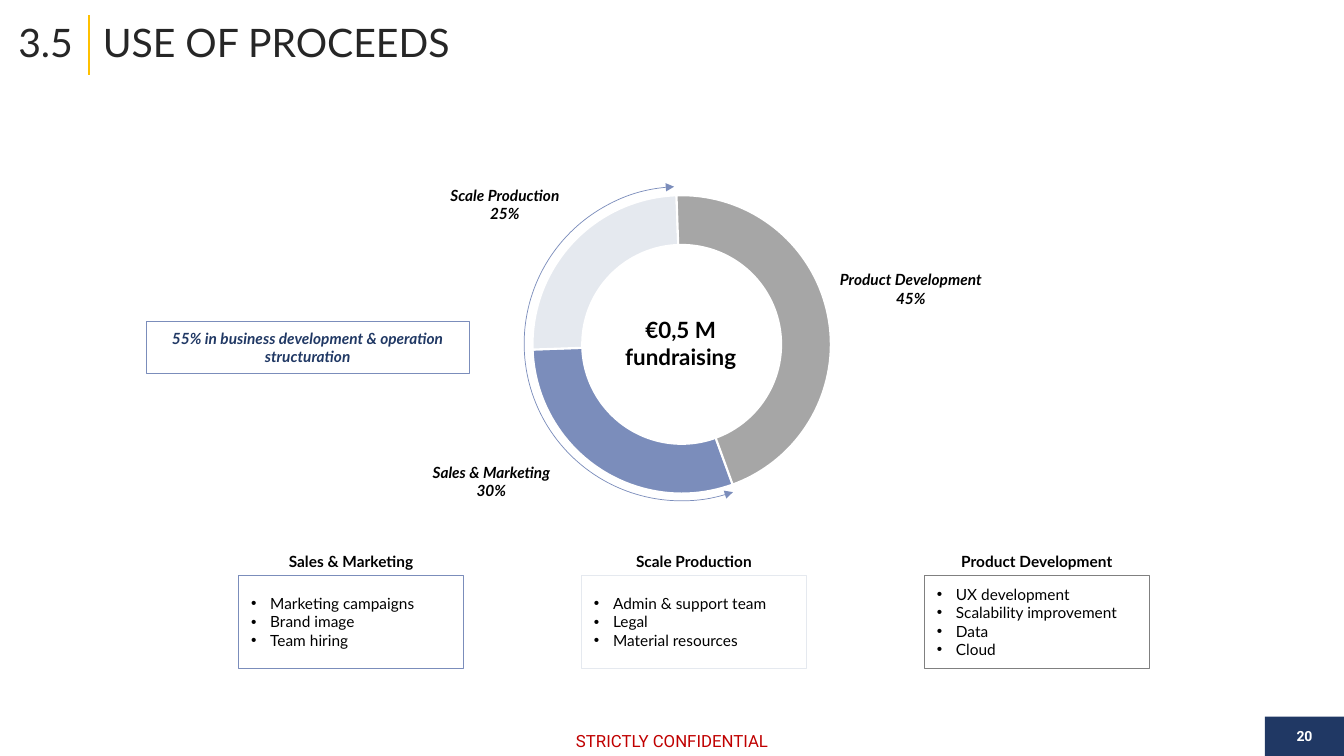
import pptx
import pptx.chart.data
import pptx.dml.color
import pptx.enum.chart
import pptx.enum.shapes
import pptx.enum.text
import pptx.oxml.ns
import pptx.util
from lxml import etree

Cm = pptx.util.Cm
Pt = pptx.util.Pt
RGBColor = pptx.dml.color.RGBColor
Align = pptx.enum.text.PP_ALIGN
ShapeType = pptx.enum.shapes.MSO_SHAPE
qn = pptx.oxml.ns.qn

NAVY = RGBColor(0x20, 0x38, 0x64)
BLUE = RGBColor(0x7B, 0x8D, 0xBB)
PALE = RGBColor(0xE5, 0xE9, 0xEF)
GREY = RGBColor(0xA6, 0xA6, 0xA6)
DARK_GREY = RGBColor(0x80, 0x80, 0x80)
GOLD = RGBColor(0xFF, 0xC0, 0x00)
RED = RGBColor(0xC0, 0x00, 0x00)
INK = RGBColor(0x26, 0x26, 0x26)
BLACK = RGBColor(0, 0, 0)
WHITE = RGBColor(0xFF, 0xFF, 0xFF)

TITLE = "USE OF PROCEEDS"
SECTION = "3.5"
PAGE = "20"
FOOTER = "STRICTLY CONFIDENTIAL"
CALLOUT = "55% in business development & operation structuration"
CENTRE = ["€0,5 M", "fundraising"]
SHARES = [
    ("Sales & Marketing", 30, BLUE, (10.57, 11.79, 3.63, 0.69)),
    ("Scale Production", 25, PALE, (10.77, 4.8, 3.91, 0.69)),
    ("Product Development", 45, GREY, (20.73, 6.93, 4.45, 0.69)),
]
CARDS = [
    ("Sales & Marketing", BLUE, ["Marketing campaigns", "Brand image", "Team hiring"]),
    ("Scale Production", PALE, ["Admin & support team", "Legal", "Material resources"]),
    ("Product Development", DARK_GREY,
     ["UX development", "Scalability improvement", "Data", "Cloud"]),
]
CARD_LEFT, CARD_STEP, CARD_TOP, CARD_WIDTH, CARD_HEIGHT = 6.02, 8.64, 14.5, 5.66, 2.34
HEADING_INSET, HEADING_TOP, HEADING_HEIGHT = 0.14, 13.79, 0.69
CHART_BOX = (9.8, 4.55, 14.76, 8.26)
RING_SIZE = 7.52


def box(values):
    return [Cm(value) for value in values]


def add_bullet(paragraph):
    properties = paragraph._p.get_or_add_pPr()
    properties.set("marL", str(Cm(0.79)))
    properties.set("indent", str(Cm(-0.48)))
    etree.SubElement(properties, qn("a:buFont")).set("typeface", "Arial")
    etree.SubElement(properties, qn("a:buChar")).set("char", "•")


def write(shape, lines, size=11, color=BLACK, font="Lato", bold=False, italic=False,
          align=Align.CENTER, inset=0, bullets=False, spacing=None):
    frame = shape.text_frame
    frame.word_wrap = True
    frame.auto_size = pptx.enum.text.MSO_AUTO_SIZE.NONE
    frame.vertical_anchor = pptx.enum.text.MSO_ANCHOR.MIDDLE
    frame.margin_left = frame.margin_right = Cm(inset)
    frame.margin_top = frame.margin_bottom = Cm(inset / 2)
    for index, line in enumerate(lines):
        paragraph = frame.add_paragraph() if index else frame.paragraphs[0]
        paragraph.alignment = align
        paragraph.space_before = Pt(0)
        if spacing:
            paragraph.line_spacing = spacing
        if bullets:
            add_bullet(paragraph)
        run = paragraph.add_run()
        run.text = line
        run.font.size = Pt(size)
        run.font.name = font
        run.font.bold = bold
        run.font.italic = italic
        run.font.color.rgb = color


def add_text(slide, position, lines, **style):
    write(slide.shapes.add_textbox(*box(position)), lines, **style)


def add_outline(slide, kind, position, color):
    shape = slide.shapes.add_shape(kind, *box(position))
    shape.shadow.inherit = False
    shape.fill.background()
    shape.line.color.rgb = color
    shape.line.width = Pt(0.5)
    return shape


def add_header(slide):
    rule = slide.shapes.add_connector(
        pptx.enum.shapes.MSO_CONNECTOR.STRAIGHT, *box((2.24, 0.38, 2.24, 1.88)))
    rule.line.color.rgb = GOLD
    rule.line.width = Pt(1.5)
    etree.SubElement(rule._element.spPr, qn("a:effectLst"))
    title, section = slide.shapes.title, slide.placeholders[1]
    for holder, position, text, align in (
            (title, (2.34, 0.38, 30.33, 1.52), TITLE, Align.LEFT),
            (section, (0.2, 0.38, 1.9, 1.52), SECTION, Align.CENTER)):
        holder.left, holder.top, holder.width, holder.height = box(position)
        write(holder, [text], size=28, color=INK, align=align, inset=0.25, spacing=0.9)
    section.text_frame.margin_left = section.text_frame.margin_right = 0


def add_footer(slide):
    add_text(slide, (12.47, 18.29, 8.94, 0.76), [FOOTER], size=12, color=RED, font="Roboto")
    badge = slide.shapes.add_shape(ShapeType.RECTANGLE, *box((31.88, 18.06, 1.99, 0.99)))
    badge.shadow.inherit = False
    badge.fill.solid()
    badge.fill.fore_color.rgb = NAVY
    badge.line.fill.background()
    write(badge, [PAGE], size=10, color=WHITE, font="Roboto", bold=True)


def add_cards(slide):
    for index, (heading, color, items) in enumerate(CARDS):
        left = CARD_LEFT + index * CARD_STEP
        card = add_outline(slide, ShapeType.RECTANGLE,
                           (left, CARD_TOP, CARD_WIDTH, CARD_HEIGHT), color)
        write(card, items, align=Align.JUSTIFY, bullets=True)
        add_text(slide, (left + HEADING_INSET, HEADING_TOP,
                         CARD_WIDTH - 2 * HEADING_INSET, HEADING_HEIGHT),
                 [heading], bold=True)


def fix_plot_size(chart):
    plot_area = chart._chartSpace.chart.plotArea
    for existing in plot_area.findall(qn("c:layout")):
        plot_area.remove(existing)
    layout = etree.Element(qn("c:layout"))
    manual = etree.SubElement(layout, qn("c:manualLayout"))
    width, height = RING_SIZE / CHART_BOX[2], RING_SIZE / CHART_BOX[3]
    for tag, value in (("layoutTarget", "inner"), ("xMode", "edge"), ("yMode", "edge"),
                       ("x", (1 - width) / 2), ("y", (1 - height) / 2),
                       ("w", width), ("h", height)):
        etree.SubElement(manual, qn("c:" + tag)).set("val", str(value))
    plot_area.insert(0, layout)


def add_doughnut(slide):
    data = pptx.chart.data.CategoryChartData()
    data.categories = ["1", "2", "3"]
    data.add_series("Series 1", [None] * len(SHARES))
    data.add_series("Series 2", [share for _, share, _, _ in SHARES])
    chart = slide.shapes.add_chart(
        pptx.enum.chart.XL_CHART_TYPE.DOUGHNUT, *box(CHART_BOX), data).chart
    chart.has_legend = False
    chart.has_title = False
    chart.font.size = Pt(10)
    chart.font.name = "Roboto"
    chart.font.color.rgb = BLACK
    plot = chart.plots[0]
    plot.vary_by_categories = True
    for index, (_, _, color, _) in enumerate(SHARES):
        slice_format = plot.series[1].points[index].format
        slice_format.fill.solid()
        slice_format.fill.fore_color.rgb = color
        slice_format.line.color.rgb = WHITE
        slice_format.line.width = Pt(1.5)
    doughnut = chart._chartSpace.chart.plotArea.find(qn("c:doughnutChart"))
    doughnut.find(qn("c:firstSliceAng")).set("val", "160")
    doughnut.find(qn("c:holeSize")).set("val", "38")
    fix_plot_size(chart)


def add_arc(slide):
    arc = add_outline(slide, ShapeType.ARC, (13.21, 4.7, 7.92, 7.92), BLUE)
    arc.rotation = 270
    arc.adjustments[0] = 96.48
    arc.adjustments[1] = 214.43
    line = arc.line._get_or_add_ln()
    for end in ("a:headEnd", "a:tailEnd"):
        etree.SubElement(line, qn(end)).set("type", "triangle")


def main():
    presentation = pptx.Presentation()
    presentation.slide_width, presentation.slide_height = Cm(33.87), Cm(19.05)
    slide = presentation.slides.add_slide(presentation.slide_layouts[2])
    add_header(slide)
    add_footer(slide)
    callout = add_outline(slide, ShapeType.RECTANGLE, (3.68, 8.1, 8.15, 1.3), BLUE)
    write(callout, [CALLOUT], color=NAVY, bold=True, italic=True)
    add_cards(slide)
    add_doughnut(slide)
    for name, share, _, position in SHARES:
        add_text(slide, position, [name, f"{share}%"], bold=True, italic=True)
    add_arc(slide)
    add_text(slide, (14.63, 7.8, 5.05, 1.68), CENTRE, size=16, bold=True)
    presentation.save("out.pptx")


if __name__ == "__main__":
    main()
